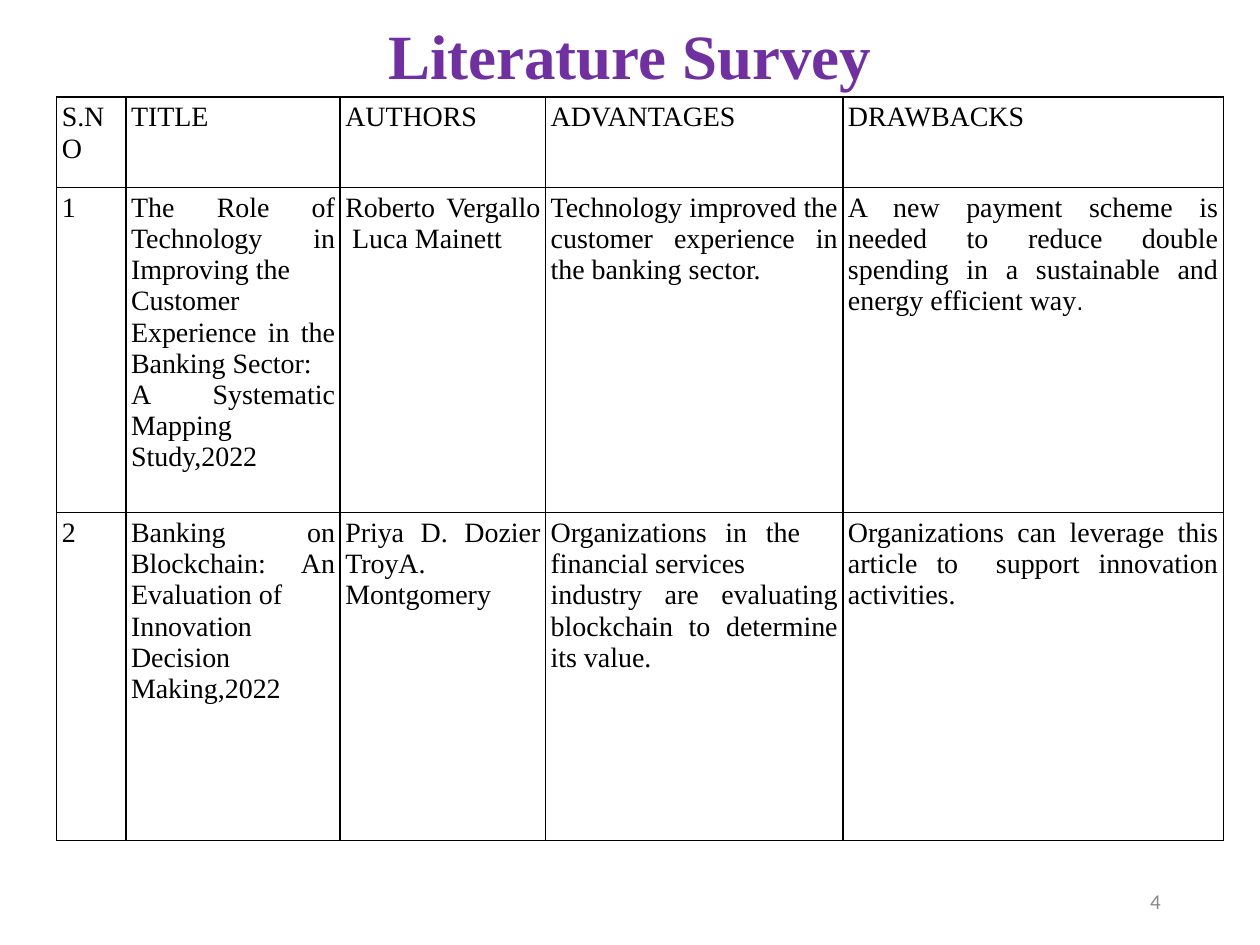
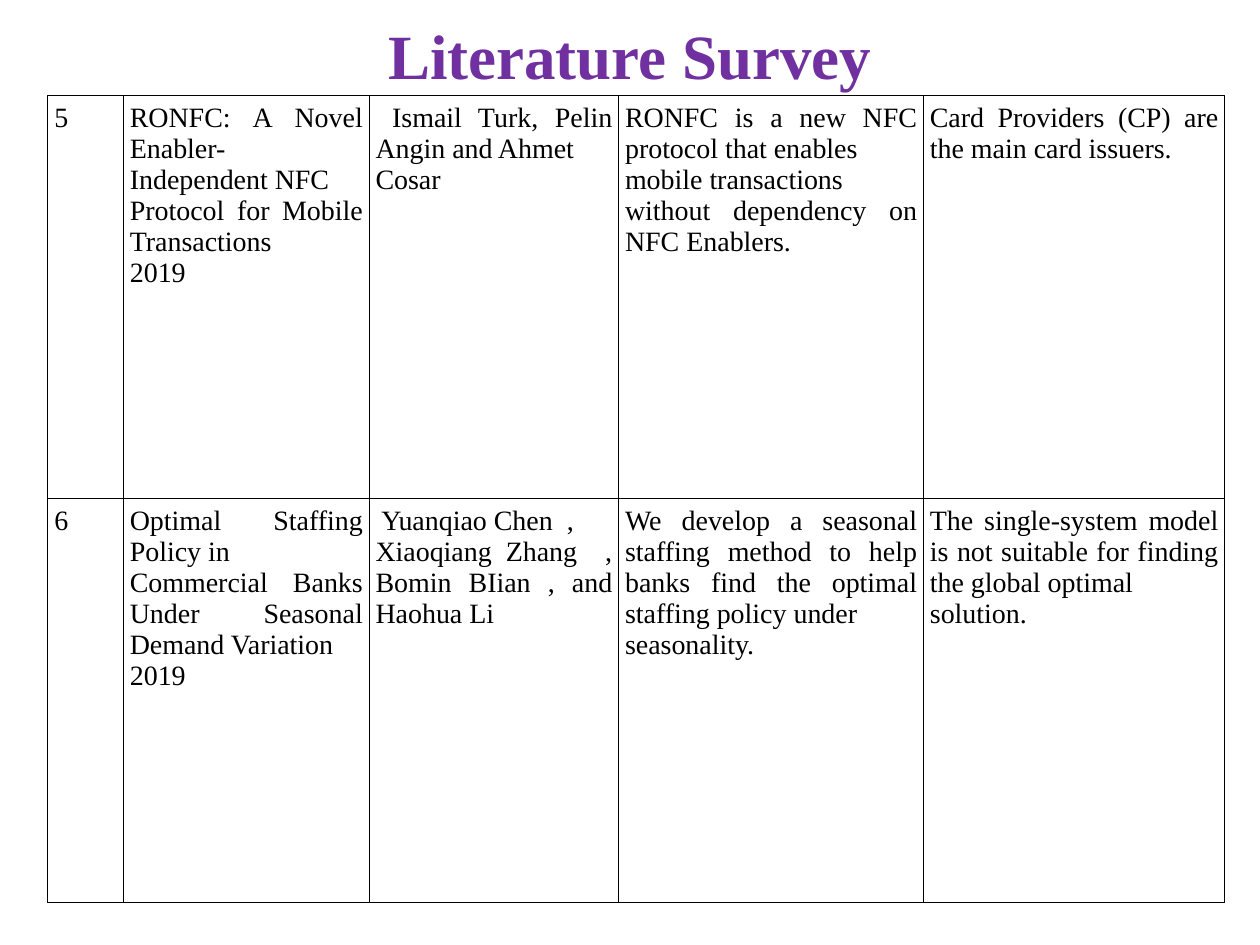
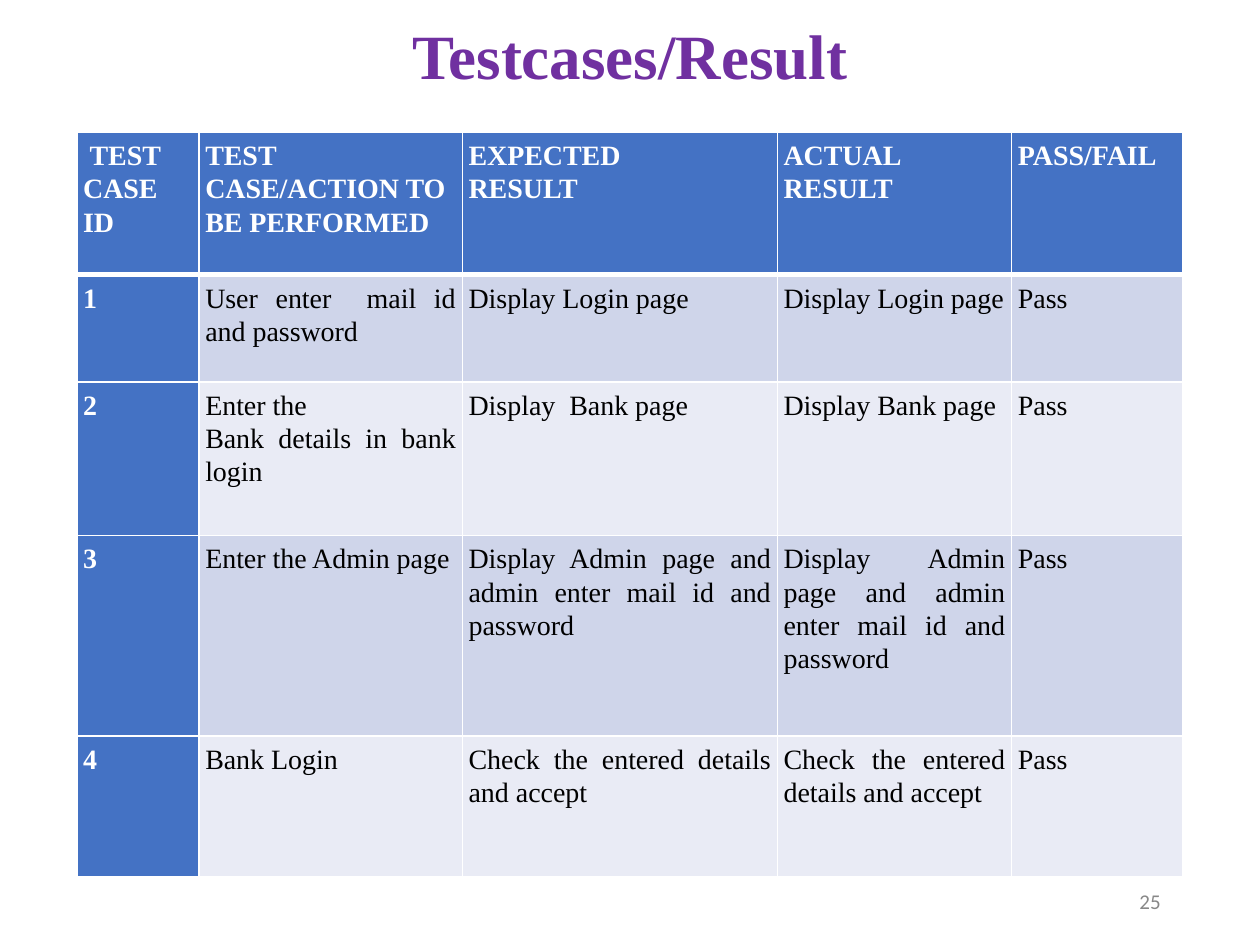
"""Build the literature survey and test case slides."""
import dataclasses

import pptx
import pptx.dml.color
import pptx.enum.text
import pptx.oxml
import pptx.oxml.ns
import pptx.util

Pt = pptx.util.Pt
Align = pptx.enum.text.PP_ALIGN
Anchor = pptx.enum.text.MSO_ANCHOR


@dataclasses.dataclass(frozen=True)
class Theme:
    """Colours, fonts and type sizes of the deck."""
    heading: str = "7030A0"
    ink: str = "000000"
    paper: str = "FFFFFF"
    muted: str = "888888"
    accent: str = "4472C4"
    bands: tuple = ("CFD5EA", "E9EBF5")
    serif: str = "Times New Roman"
    sans: str = "Calibri"
    stop_font: str = "Arial"
    heading_size: float = 36
    cell_size: float = 16
    stop_size: float = 14
    number_size: float = 12


@dataclasses.dataclass(frozen=True)
class Grid:
    """Position, tracks and ruling of one table."""
    left: float
    top: float
    columns: tuple
    rows: tuple
    inset: float = 3.6
    rule: float = 1
    has_header: bool = True
    banded: bool = False


class Deck:
    """Hold the theme and current slide, and draw each kind of element."""

    def __init__(self, theme):
        self.theme = theme
        self.show = pptx.Presentation()
        self.show.slide_width, self.show.slide_height = Pt(720), Pt(540)
        self.slide = None

    def start(self, heading):
        """Add a slide with its heading."""
        self.slide = self.show.slides.add_slide(self.show.slide_layouts[5])
        title = self.slide.shapes.title
        title.left, title.top, title.width, title.height = map(Pt, (49.7, 13, 620.6, 41.8))
        frame = title.text_frame
        frame.auto_size = pptx.enum.text.MSO_AUTO_SIZE.NONE
        frame.vertical_anchor = Anchor.MIDDLE
        line = frame.paragraphs[0]
        line.alignment, line.line_spacing = Align.CENTER, 0.9
        self.run(line, heading, self.theme.heading_size, self.theme.heading, bold=True)

    def run(self, line, words, size, color, bold=False, face=None):
        """Add one formatted run."""
        piece = line.add_run()
        piece.text = words
        font = piece.font
        font.name, font.size, font.bold = face or self.theme.serif, Pt(size), bold
        font.color.rgb = pptx.dml.color.RGBColor.from_string(color)

    def page_number(self, number):
        """Add the page number at the lower right."""
        box = self.slide.shapes.add_textbox(*map(Pt, (508.3, 500.4, 162, 28.8)))
        frame = box.text_frame
        frame.word_wrap, frame.vertical_anchor = True, Anchor.MIDDLE
        line = frame.paragraphs[0]
        line.alignment = Align.RIGHT
        self.run(line, str(number), self.theme.number_size, self.theme.muted, face=self.theme.sans)

    def table(self, grid, entries):
        """Add a table; a line break in an entry starts a new paragraph."""
        table = self.slide.shapes.add_table(
            len(grid.rows), len(grid.columns), Pt(grid.left), Pt(grid.top),
            Pt(sum(grid.columns)), Pt(sum(grid.rows))).table
        table.first_row = table.horz_banding = False
        for column, width in zip(table.columns, grid.columns):
            column.width = Pt(width)
        for row, height in zip(table.rows, grid.rows):
            row.height = Pt(height)
        for r, record in enumerate(entries):
            for c, entry in enumerate(record):
                self.cell(table.cell(r, c), grid, r, c, entry)

    def cell(self, cell, grid, r, c, entry):
        """Fill, rule and write one table cell."""
        theme = self.theme
        label = c == 0 or (r == 0 and grid.has_header)
        fill, ink = theme.paper, theme.ink
        if grid.banded:
            fill = theme.accent if label else theme.bands[(r - 1) % 2]
            ink = theme.paper if label else theme.ink
        cell.fill.solid()
        cell.fill.fore_color.rgb = pptx.dml.color.RGBColor.from_string(fill)
        cell.margin_left = cell.margin_right = Pt(grid.inset)
        cell.margin_top = cell.margin_bottom = Pt(grid.inset)
        self.borders(cell, grid, r)
        for i, words in enumerate(entry.split("\n")):
            frame = cell.text_frame
            line = frame.add_paragraph() if i else frame.paragraphs[0]
            line.alignment = Align.LEFT if label else Align.JUSTIFY
            if grid.banded:
                line.line_spacing = 1.07
            body, mark, _ = words.partition("|")
            self.run(line, body, theme.cell_size, ink, bold=grid.banded and label)
            if mark:
                self.run(line, ".", theme.stop_size, ink, face=theme.stop_font)

    def borders(self, cell, grid, r):
        """Rule the four sides of a cell, heavier under a banded header."""
        color = self.theme.paper if grid.banded else self.theme.ink
        heavy = {(0, "B"), (1, "T")} if grid.banded else set()
        for i, side in enumerate("LRTB"):
            width = 3 if (r, side) in heavy else grid.rule
            cell._tc.get_or_add_tcPr().insert(i, pptx.oxml.parse_xml(
                f'<a:ln{side} {pptx.oxml.ns.nsdecls("a")} w="{Pt(width)}">'
                f'<a:solidFill><a:srgbClr val="{color}"/></a:solidFill></a:ln{side}>'))


FIRST_SURVEY = (
    ("S.NO", "TITLE", "AUTHORS", "ADVANTAGES", "DRAWBACKS"),
    ("1",
     "The Role of Technology in Improving the\n"
     "Customer Experience in the Banking Sector:\n"
     "A Systematic Mapping Study,2022",
     "Roberto Vergallo  Luca Mainett",
     "Technology improved the customer experience in the banking sector.",
     "A new payment scheme is needed to reduce double spending "
     "in a sustainable and energy efficient way|"),
    ("2",
     "Banking on Blockchain: An Evaluation of\nInnovation Decision Making,2022",
     "Priya D. Dozier TroyA.\nMontgomery",
     "Organizations in the   financial services\n"
     "industry are evaluating blockchain to determine its value.",
     "Organizations can leverage this article to  support innovation activities."),
)
LAST_SURVEY = (
    ("5",
     "RONFC: A Novel Enabler-\nIndependent NFC\n"
     "Protocol for Mobile Transactions\n2019",
     " Ismail Turk, Pelin Angin and Ahmet\nCosar",
     "RONFC is a new NFC protocol that enables\nmobile transactions\n"
     "without dependency on NFC Enablers.",
     "Card Providers (CP) are the main card issuers."),
    ("6",
     "Optimal Staffing Policy in\n"
     "Commercial Banks Under Seasonal Demand Variation\n2019",
     " Yuanqiao Chen  ,\nXiaoqiang Zhang  , Bomin BIian , and Haohua Li",
     "We develop a seasonal staffing method to help banks find "
     "the optimal staffing policy under\nseasonality.",
     "The single-system model is not suitable for finding the global optimal\nsolution."),
)
ADMIN_RESULT = "Display Admin page and admin enter mail id and password"
LOGIN_RESULT = "Check the entered details and accept"
TEST_CASES = (
    (" TEST CASE ID", "TEST CASE/ACTION TO BE PERFORMED", "EXPECTED\nRESULT",
     "ACTUAL RESULT", "PASS/FAIL"),
    ("1", "User enter  mail id and password", "Display Login page",
     "Display Login page", "Pass"),
    ("2", "Enter the\nBank details in bank login", "Display  Bank page",
     "Display Bank page", "Pass"),
    ("3", "Enter the Admin page", ADMIN_RESULT, ADMIN_RESULT, "Pass"),
    ("4", "Bank Login", LOGIN_RESULT, LOGIN_RESULT, "Pass"),
)


def main():
    """Build and save the deck."""
    deck = Deck(Theme())

    deck.start("Literature Survey")
    deck.page_number(4)
    deck.table(Grid(32.4, 55.4, (39.6, 122.4, 117.4, 169.9, 217.4),
                    (51.8, 185.8, 187.2), inset=2.9), FIRST_SURVEY)

    deck.start("Literature Survey")
    deck.table(Grid(27.4, 54.7, (43.2, 140.4, 142.6, 174.2, 172.1),
                    (230.4, 230.4), rule=0.67, has_header=False), LAST_SURVEY)

    deck.start("Testcases/Result")
    deck.page_number(25)
    deck.table(Grid(43.9, 75.6, (69.8, 150.5, 180, 133.9, 97.9),
                    (81.4, 61.2, 87.8, 114.5, 80.6), banded=True), TEST_CASES)

    deck.show.save("out.pptx")


if __name__ == "__main__":
    main()
